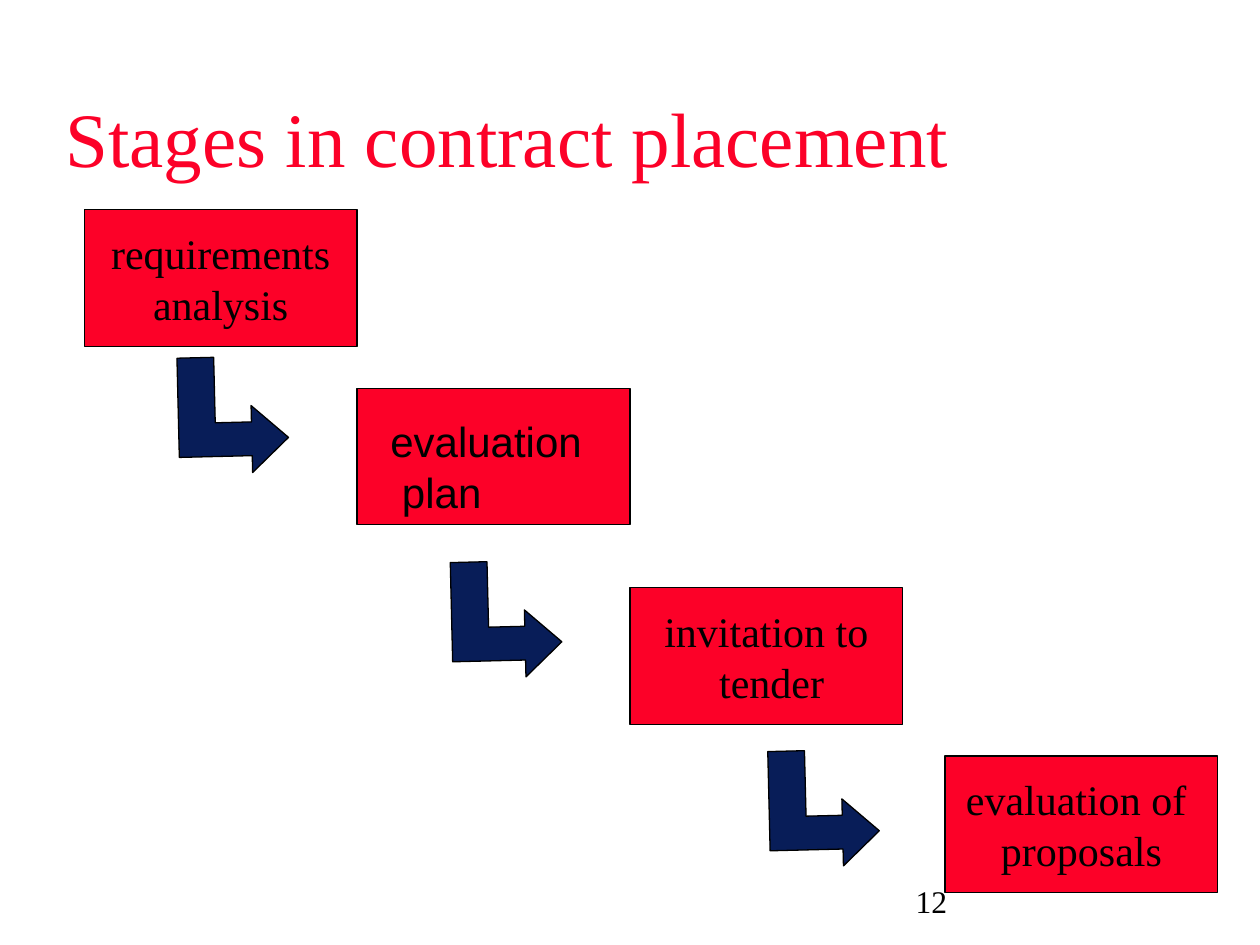
from pptx import Presentation
from pptx.dml.color import RGBColor
from pptx.enum import shapes, text
from pptx.util import Cm, Pt

SERIF = "Times New Roman"
RED, NAVY, BLACK = "FC0128", "081D58", "000000"


def style(shape, fill):
    shape.shadow.inherit = False
    shape.fill.solid()
    shape.fill.fore_color.rgb = RGBColor.from_string(fill)
    shape.line.color.rgb = RGBColor.from_string(BLACK)
    shape.line.width = Pt(0.75)


def write(frame, words, size, face=SERIF, color=BLACK, align=text.PP_ALIGN.LEFT):
    frame.text = words
    for para in frame.paragraphs:
        para.alignment = align
        para.font.size = Pt(size)
        para.font.name = face
        para.font.color.rgb = RGBColor.from_string(color)


deck = Presentation()
deck.slide_width, deck.slide_height = Cm(25.4), Cm(19.05)
slide = deck.slides.add_slide(deck.slide_layouts[5])

title = slide.shapes.title
title.left, title.top, title.width, title.height = Cm(1.07), Cm(0.74), Cm(21.67), Cm(3.07)
frame = title.text_frame
frame.auto_size = text.MSO_AUTO_SIZE.NONE
frame.vertical_anchor = text.MSO_ANCHOR.BOTTOM
write(frame, "Stages in contract placement", 44, color=RED)

number = slide.shapes.add_textbox(Cm(18.21), Cm(17.65), Cm(5.92), Cm(1.02))
number.text_frame.word_wrap = True
write(number.text_frame, "12", 18)

# The second stage has its label in a text box of its own
stages = [
    (1.7, 4.23, "requirements\nanalysis"),
    (7.2, 7.83, ""),
    (12.7, 11.85, "invitation to\n tender"),
    (19.05, 15.24, "evaluation of \nproposals"),
]
for left, top, words in stages:
    box = slide.shapes.add_shape(
        shapes.MSO_SHAPE.RECTANGLE, Cm(left), Cm(top), Cm(5.5), Cm(2.75))
    style(box, RED)
    if words:
        box.text_frame.word_wrap = False
        box.text_frame.vertical_anchor = text.MSO_ANCHOR.MIDDLE
        write(box.text_frame, words, 24, align=text.PP_ALIGN.CENTER)

# Bent arrow pointing up, turned to lead down and right.
# Points are in hundredths of a centimetre, as freeforms keep whole units only.
bend = [(165, 0), (99, 74), (132, 74), (132, 147), (0, 147),
        (0, 221), (200, 221), (200, 74), (234, 74)]
for left, top in [(3.53, 7.26), (9.04, 11.38), (15.44, 15.19)]:
    path = slide.shapes.build_freeform(*bend[0], scale=Cm(0.01))
    path.add_line_segments(bend[1:], close=True)
    arrow = path.convert_to_shape(Cm(left), Cm(top))
    arrow.rotation = 88.6
    style(arrow, NAVY)

label = slide.shapes.add_textbox(Cm(7.62), Cm(8.26), Cm(4.37), Cm(2.29))
label.text_frame.word_wrap = False
label.text_frame.auto_size = text.MSO_AUTO_SIZE.SHAPE_TO_FIT_TEXT
write(label.text_frame, "evaluation\n plan", 24, "Arial")

deck.save("out.pptx")
